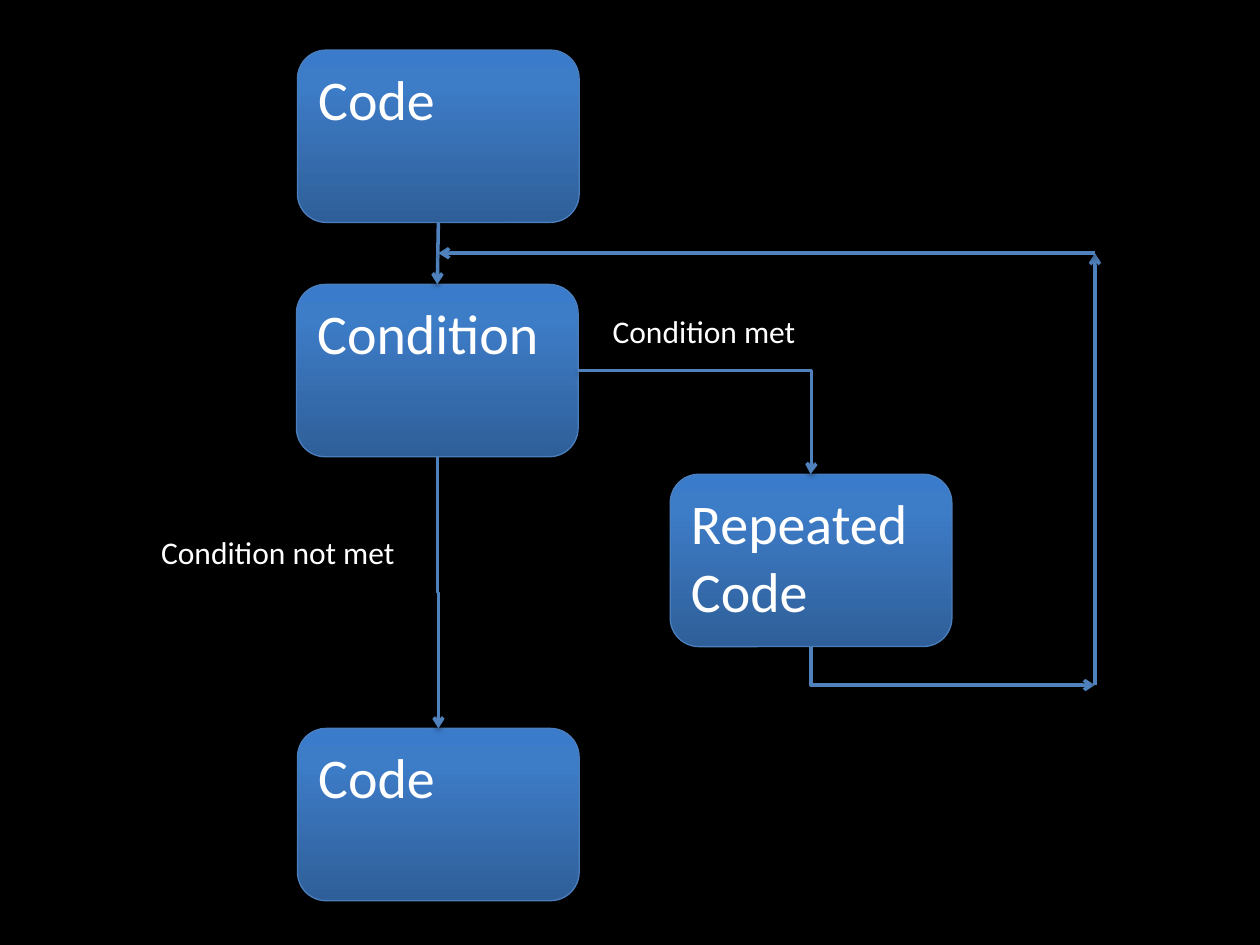
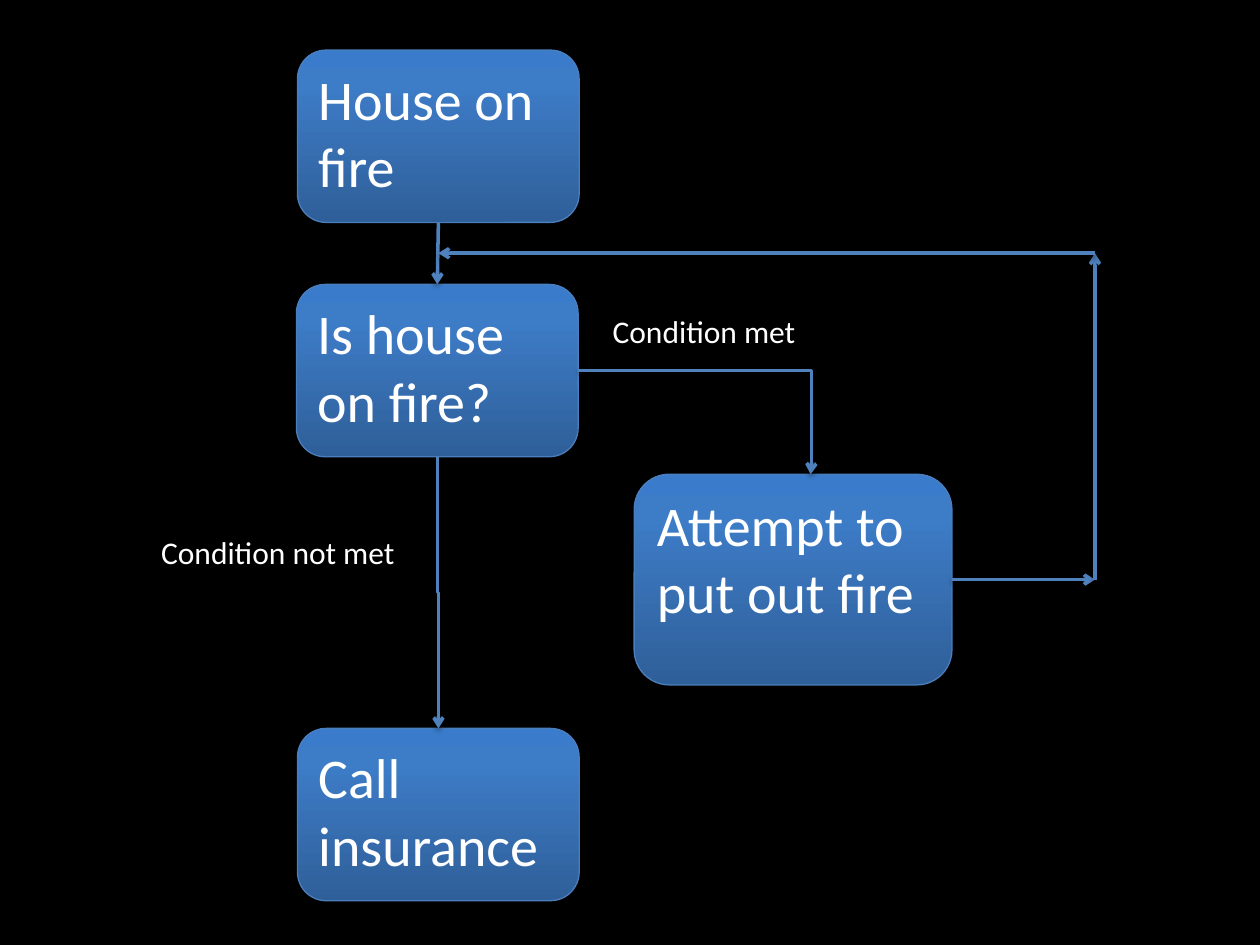
from copy import deepcopy
from dataclasses import dataclass

from pptx import Presentation
from pptx.dml.color import RGBColor
from pptx.enum.shapes import MSO_CONNECTOR, MSO_SHAPE
from pptx.enum.text import MSO_ANCHOR, MSO_AUTO_SIZE, PP_ALIGN
from pptx.oxml import parse_xml
from pptx.oxml.ns import nsdecls, qn
from pptx.slide import Slide
from pptx.util import Pt

HUES = {
    "back": "000000",
    "text": "FFFFFF",
    "edge": "4B7EBC",
    "line": "4F81BD",
    "low": "2F5F99",
    "mid": "3D7CC7",
    "top": "3A7CCB",
}
FADE = [(0, "low"), (0.8, "mid"), (1, "top")]
FONT = "Calibri"
WIDE, HIGH = 161, 98.5
LOOP_X, LOOP_Y = 625.7, 144.7


@dataclass
class Box:
    text: str
    left: float
    top: float
    wide: float = WIDE
    high: float = HIGH

    @property
    def right(self) -> float:
        return self.left + self.wide

    @property
    def base(self) -> float:
        return self.top + self.high

    @property
    def mid_x(self) -> float:
        return self.left + self.wide / 2

    @property
    def mid_y(self) -> float:
        return self.top + self.high / 2


@dataclass
class Link:
    x1: float
    y1: float
    x2: float
    y2: float
    form: str = "line"
    bend: int = 0
    turn: bool = False


@dataclass
class Flow:
    start: str
    test: str
    task: Box
    end: str
    side: bool = False


LABELS = [
    Box("Condition met", 343, 175, 120, 29),
    Box("Condition not met", 85, 301, 150, 29),
]
FLOWS = [
    Flow("Code", "Condition", Box("Repeated Code", 383, 271), "Code"),
    Flow(
        "House on fire",
        "Is house on fire?",
        Box("Attempt to put out fire", 362.4, 271, 181.6, 120.4),
        "Call insurance",
        side=True,
    ),
]


def tint(name: str) -> RGBColor:
    return RGBColor.from_string(HUES[name])


def shade(props, alpha: int, drop: float) -> None:
    for old in props.findall(qn("a:effectLst")):
        props.remove(old)
    props.append(parse_xml(
        f'<a:effectLst {nsdecls("a")}>'
        f'<a:outerShdw blurRad="{Pt(3.1)}" dist="{Pt(drop)}" dir="5400000" rotWithShape="0">'
        f'<a:srgbClr val="{HUES["back"]}"><a:alpha val="{alpha * 1000}"/></a:srgbClr>'
        '</a:outerShdw></a:effectLst>'
    ))


def write(frame, text: str, size: int) -> None:
    para = frame.paragraphs[0]
    para.alignment = PP_ALIGN.LEFT
    run = para.add_run()
    run.text = text
    run.font.name = FONT
    run.font.size = Pt(size)
    run.font.color.rgb = tint("text")


def draw_box(slide: Slide, box: Box) -> None:
    shape = slide.shapes.add_shape(
        MSO_SHAPE.ROUNDED_RECTANGLE,
        Pt(box.left), Pt(box.top), Pt(box.wide), Pt(box.high),
    )
    shape.fill.gradient()
    shape.fill.gradient_angle = 90
    props = shape._element.spPr
    stops = props.find(qn("a:gradFill")).find(qn("a:gsLst"))
    stops.append(deepcopy(stops[0]))
    for stop, (place, name) in zip(shape.fill.gradient_stops, FADE):
        stop.position = place
        stop.color.rgb = tint(name)
    shape.line.color.rgb = tint("edge")
    shape.line.width = Pt(0.75)
    shade(props, 35, 1.8)
    frame = shape.text_frame
    frame.word_wrap = True
    frame.vertical_anchor = MSO_ANCHOR.TOP
    write(frame, box.text, 32)


def draw_label(slide: Slide, box: Box) -> None:
    shape = slide.shapes.add_textbox(
        Pt(box.left), Pt(box.top), Pt(box.wide), Pt(box.high)
    )
    frame = shape.text_frame
    frame.word_wrap = False
    frame.auto_size = MSO_AUTO_SIZE.SHAPE_TO_FIT_TEXT
    write(frame, box.text, 18)


def draw_link(slide: Slide, link: Link) -> None:
    x1, y1, x2, y2 = link.x1, link.y1, link.x2, link.y2
    if link.turn:
        mid_x, mid_y = (x1 + x2) / 2, (y1 + y2) / 2
        half_w, half_h = (y2 - y1) / 2, (x2 - x1) / 2
        x1, x2 = mid_x - half_w, mid_x + half_w
        y1, y2 = mid_y - half_h, mid_y + half_h
    kind = MSO_CONNECTOR.STRAIGHT if link.form == "line" else MSO_CONNECTOR.ELBOW
    wire = slide.shapes.add_connector(kind, Pt(x1), Pt(y1), Pt(x2), Pt(y2))
    wire.line.color.rgb = tint("line")
    wire.line.width = Pt(2)
    props = wire._element.spPr
    if link.turn:
        frame = props.find(qn("a:xfrm"))
        frame.set("rot", "16200000")
        frame.set("flipH", "1")
    shape = props.find(qn("a:prstGeom"))
    shape.set("prst", link.form)
    if link.bend:
        guide = parse_xml(f'<a:gd {nsdecls("a")} name="adj1" fmla="val {link.bend}"/>')
        shape.find(qn("a:avLst")).append(guide)
    tip = parse_xml(f'<a:tailEnd {nsdecls("a")} type="arrow"/>')
    props.find(qn("a:ln")).append(tip)
    shade(props, 38, 1.6)


def draw_flow(slide: Slide, flow: Flow) -> None:
    start = Box(flow.start, 170, 28.6)
    test = Box(flow.test, 169.4, 162.5)
    task = flow.task
    end = Box(flow.end, 170, 416.2)
    for box in (start, test, task, end):
        draw_box(slide, box)
    for label in LABELS:
        draw_label(slide, label)
    if flow.side:
        exit_y = task.mid_y
        leave = Link(task.right, exit_y, LOOP_X, exit_y)
    else:
        exit_y = task.base + 22
        leave = Link(task.mid_x, task.base, LOOP_X, exit_y, "bentConnector2", turn=True)
    links = [
        Link(test.right, test.mid_y, 463.2, task.top, "bentConnector3", bend=100400),
        leave,
        Link(test.mid_x, test.base, end.mid_x, end.top, "bentConnector3", turn=True),
        Link(start.mid_x, start.base, test.mid_x, test.top),
        Link(LOOP_X, exit_y, LOOP_X, LOOP_Y),
        Link(LOOP_X, LOOP_Y, start.mid_x, LOOP_Y),
    ]
    for link in links:
        draw_link(slide, link)


def main() -> None:
    deck = Presentation()
    deck.slide_width, deck.slide_height = Pt(720), Pt(540)
    back = deck.slide_master.background.fill
    back.solid()
    back.fore_color.rgb = tint("back")
    for flow in FLOWS:
        draw_flow(deck.slides.add_slide(deck.slide_layouts[6]), flow)
    deck.save("out.pptx")


main()
